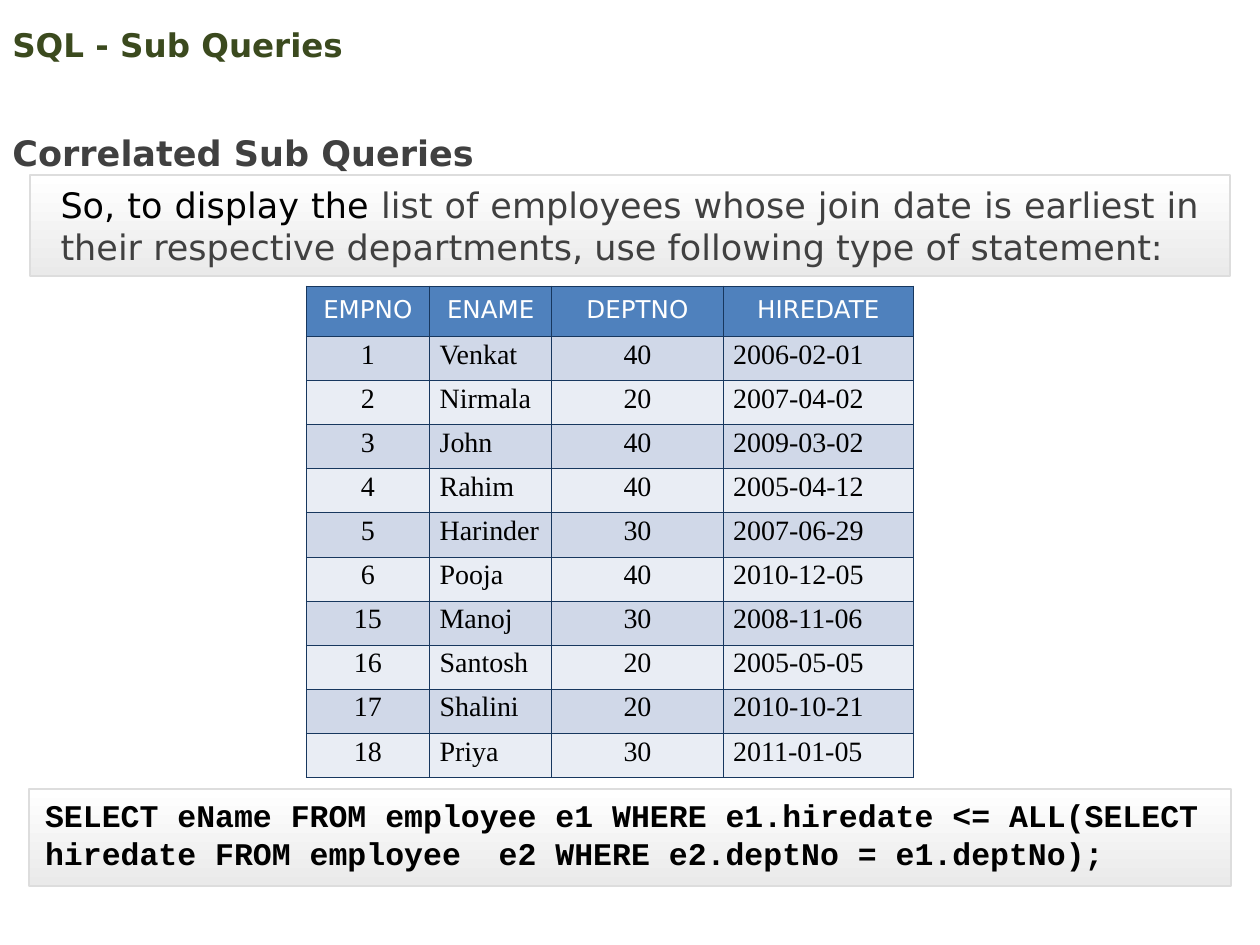
"""Builds the slide on correlated SQL sub queries."""
from dataclasses import dataclass

from lxml import etree
from pptx import Presentation
from pptx.dml.color import RGBColor
from pptx.enum.shapes import MSO_SHAPE
from pptx.enum.text import MSO_ANCHOR as ANCHOR, MSO_AUTO_SIZE as AUTO, PP_ALIGN as ALIGN
from pptx.oxml.ns import qn
from pptx.util import Inches, Pt

TITLE = "SQL - Sub Queries"
SUBTITLE = "Correlated Sub Queries"
INTRO = ("So, to display the ",
         "list of employees whose join date is earliest in their respective "
         "departments, use following type of statement:")
QUERY = ("SELECT eName FROM employee e1 WHERE e1.hiredate <= ALL(SELECT "
         "hiredate FROM employee  e2 WHERE e2.deptNo = e1.deptNo);")
HEADERS = ("EMPNO", "ENAME", "DEPTNO", "HIREDATE")
EMPLOYEES = [
    (1, "Venkat", 40, "2006-02-01"),
    (2, "Nirmala", 20, "2007-04-02"),
    (3, "John", 40, "2009-03-02"),
    (4, "Rahim", 40, "2005-04-12"),
    (5, "Harinder", 30, "2007-06-29"),
    (6, "Pooja", 40, "2010-12-05"),
    (15, "Manoj", 30, "2008-11-06"),
    (16, "Santosh", 20, "2005-05-05"),
    (17, "Shalini", 20, "2010-10-21"),
    (18, "Priya", 30, "2011-01-05"),
]
COL_WIDTHS = (0.98, 0.97, 1.36, 1.51)
HEADER_HEIGHT, ROW_HEIGHT = 0.4, 0.35


@dataclass(frozen=True)
class Theme:
    """Colours, fonts and type sizes."""
    sans: str = "DejaVu Sans"
    serif: str = "Times New Roman"
    mono: str = "Courier New"
    olive: str = "3B4A1E"
    gray: str = "404040"
    black: str = "000000"
    white: str = "FFFFFF"
    panel_end: str = "EAEAEA"
    panel_line: str = "DDDDDD"
    header: str = "4F81BD"
    bands: tuple = ("D0D8E8", "E9EDF4")
    border: str = "17375E"
    title: float = 18.6
    body: float = 20
    code: float = 18
    head: float = 14
    cell: float = 16


T = Theme()


def rgb(value):
    """Turns a hex string into a colour."""
    return RGBColor.from_string(value)


def style(r, font, size, color, bold=False):
    """Formats one run."""
    r.font.name, r.font.size, r.font.bold = font, Pt(size), bold
    r.font.color.rgb = rgb(color)


def add_panel(s, *box):
    """Adds a softly shaded rectangle."""
    sp = s.shapes.add_shape(MSO_SHAPE.RECTANGLE, *map(Inches, box))
    sp.shadow.inherit = False
    sp.fill.gradient()
    sp.fill.gradient_angle = 270
    for stop, color, pos in zip(sp.fill.gradient_stops, (T.white, T.panel_end), (0, 1)):
        stop.color.rgb, stop.position = rgb(color), pos
    sp.line.color.rgb, sp.line.width = rgb(T.panel_line), Pt(1)
    return sp


def add_text(s, box, text, *look, anchor=ANCHOR.TOP, auto=AUTO.SHAPE_TO_FIT_TEXT):
    """Adds a one-paragraph text box and returns the paragraph."""
    tf = s.shapes.add_textbox(*map(Inches, box)).text_frame
    tf.word_wrap, tf.auto_size, tf.vertical_anchor = True, auto, anchor
    tf.text = text
    p = tf.paragraphs[0]
    style(p.runs[0], *look)
    return p


def add_intro(s):
    """Adds the shaded introduction."""
    tf = add_panel(s, 0.24, 1.39, 9.52, 0.8).text_frame
    tf.word_wrap, tf.vertical_anchor = True, ANCHOR.MIDDLE
    tf.margin_left = tf.margin_right = Inches(0.24)
    tf.margin_top = tf.margin_bottom = 0
    p = tf.paragraphs[0]
    p.alignment = ALIGN.JUSTIFY
    for text, color in zip(INTRO, (T.black, T.gray)):
        r = p.add_run()
        r.text = text
        style(r, T.sans, T.body, color)


def add_borders(cell):
    """Draws a thin line on each side of a cell."""
    tc_pr = cell._tc.get_or_add_tcPr()
    for i, side in enumerate("LRTB"):
        ln = etree.Element(qn(f"a:ln{side}"), w=str(Pt(0.45)))
        fill = etree.SubElement(ln, qn("a:solidFill"))
        etree.SubElement(fill, qn("a:srgbClr"), val=T.border)
        tc_pr.insert(i, ln)


def fill_cell(cell, value, row, col):
    """Writes and formats one table cell."""
    is_head = row == 0
    cell.text = str(value)
    cell.fill.solid()
    cell.fill.fore_color.rgb = rgb(T.header if is_head else T.bands[(row - 1) % 2])
    p = cell.text_frame.paragraphs[0]
    p.line_spacing = 0.86
    p.alignment = ALIGN.CENTER if is_head or col % 2 == 0 else ALIGN.LEFT
    if is_head:
        cell.vertical_anchor = ANCHOR.MIDDLE
        style(p.runs[0], T.sans, T.head, T.white)
    else:
        cell.margin_left = cell.margin_right = Inches(0.08)
        style(p.runs[0], T.serif, T.cell, T.black)
    add_borders(cell)


def add_employees(s):
    """Adds the employee table."""
    rows = [HEADERS, *EMPLOYEES]
    heights = [HEADER_HEIGHT] + [ROW_HEIGHT] * len(EMPLOYEES)
    box = (2.43, 2.27, sum(COL_WIDTHS), sum(heights))
    table = s.shapes.add_table(len(rows), len(HEADERS), *map(Inches, box)).table
    for column, width in zip(table.columns, COL_WIDTHS):
        column.width = Inches(width)
    for i, (values, height) in enumerate(zip(rows, heights)):
        table.rows[i].height = Inches(height)
        for j, value in enumerate(values):
            fill_cell(table.cell(i, j), value, i, j)


def main():
    """Builds and saves the slide."""
    prs = Presentation()
    prs.slide_width, prs.slide_height = Inches(10), Inches(7.5)
    s = prs.slides.add_slide(prs.slide_layouts[6])
    add_panel(s, 0.23, 6.26, 9.54, 0.77)
    add_text(s, (0, 0.14, 9, 0.43), TITLE, T.sans, T.title, T.olive, True,
             anchor=ANCHOR.MIDDLE, auto=AUTO.NONE)
    add_intro(s)
    p = add_text(s, (0, 0.83, 7.09, 0.6), SUBTITLE, T.sans, T.body, T.gray, True)
    p.line_spacing = 1.5
    add_text(s, (0.26, 6.27, 9.53, 0.7), QUERY, T.mono, T.code, T.black, True)
    add_employees(s)
    prs.save("out.pptx")


if __name__ == "__main__":
    main()
